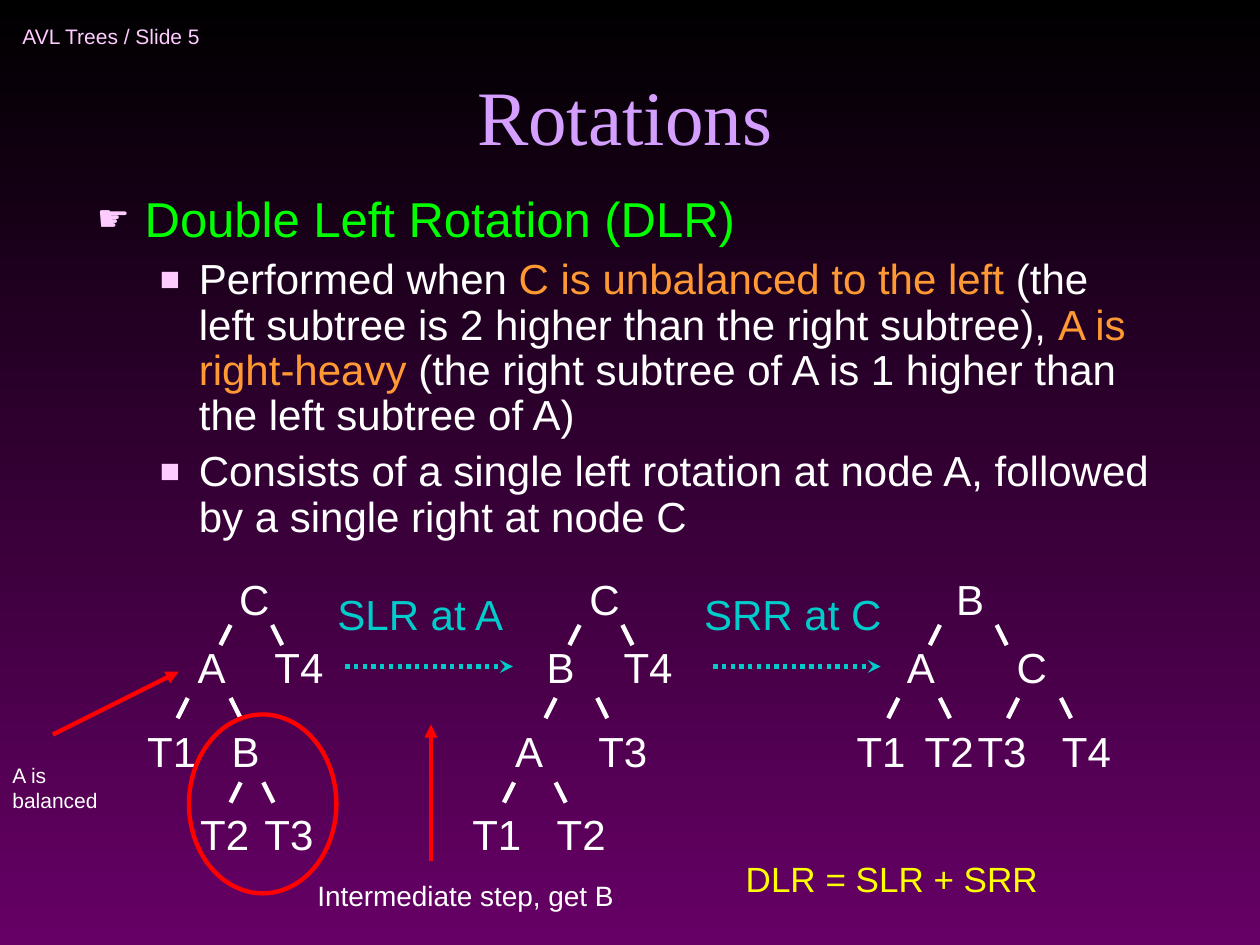
from dataclasses import dataclass

from lxml import etree
from pptx import Presentation
from pptx.dml.color import RGBColor
from pptx.enum.dml import MSO_LINE_DASH_STYLE as Dash
from pptx.enum.shapes import MSO_CONNECTOR as Connector, MSO_SHAPE as Shape
from pptx.enum.text import MSO_ANCHOR as Anchor, MSO_AUTO_SIZE as AutoSize, PP_ALIGN as Align
from pptx.oxml.ns import qn
from pptx.util import Inches, Pt


@dataclass(frozen=True)
class Theme:
    """Colours, fonts and sizes of the slide."""
    top: str = "000000"
    bottom: str = "660066"
    title: str = "D49FFF"
    accent: str = "FFCCFF"
    heading: str = "00FF00"
    text: str = "FFFFFF"
    emphasis: str = "FF9933"
    step: str = "00CCCC"
    mark: str = "FF0000"
    result: str = "FFFF00"
    title_font: str = "Times New Roman"
    font: str = "Arial"
    title_size: int = 44
    heading_size: int = 28
    body_size: int = 24
    result_size: int = 20
    caption_size: int = 16
    small_size: int = 12
    line_width: float = 2.5


THEME = Theme()

TITLE = "Rotations"
HEADING = [("Double Left Rotation (DLR)", THEME.heading)]
POINTS = [
    [("Performed when ", THEME.text),
     ("C is unbalanced to the left", THEME.emphasis),
     (" (the left subtree is 2 higher than the right subtree), ", THEME.text),
     ("A is right-heavy", THEME.emphasis),
     (" (the right subtree of A is 1 higher than the left subtree of A)", THEME.text)],
    [("Consists of a single left rotation at node A, followed by a single right at node C",
      THEME.text)],
]

# Each tree: rows of (label, left), then rows of branch starts, left and right in turn.
TREES = [
    ([[("C", 1.8)], [("A", 1.47), ("T4", 2.08)], [("T1", 1.07), ("B", 1.74)],
      [("T2", 1.49), ("T3", 2.0)]],
     [[1.83, 2.16], [1.49, 1.83], [1.91, 2.09]]),
    ([[("C", 4.58)], [("B", 4.24), ("T4", 4.85)], [("A", 3.99), ("T3", 4.65)],
      [("T1", 3.65), ("T2", 4.32)]],
     [[4.6, 4.94], [4.41, 4.74], [4.08, 4.41]]),
    ([[("B", 7.49)], [("A", 7.1), ("C", 7.97)],
      [("T1", 6.7), ("T2", 7.24), ("T3", 7.66), ("T4", 8.33)]],
     [[7.46, 7.91], [7.13, 7.46, 8.08, 8.42]]),
]
NODE_TOPS = [4.5, 5.04, 5.71, 6.37]
BRANCH_TOPS = [4.96, 5.54, 6.21]
BRANCH_RUN, BRANCH_DROP = 0.08, 0.16
NODE_WIDTHS = {1: 0.43, 2: 0.59}

# Rotation steps: label, label left, label width, arrow start
STEPS = [("SLR at A", 2.58, 1.53, 2.74), ("SRR at C", 5.49, 1.61, 5.66)]
STEP_LABEL_TOP, STEP_ARROW_Y, STEP_ARROW_LENGTH = 4.62, 5.29, 1.33

# Notes: text, box, size, colour, space before, wrap
NOTES = [
    ("DLR = SLR + SRR", (5.82, 6.76, 2.52, 0.44), THEME.result_size, THEME.result, 5, False),
    ("A is balanced", (0, 6, 0.92, 0.5), THEME.small_size, THEME.text, 3, True),
    ("Intermediate step, get B", (2.42, 6.92, 2.55, 0.37), THEME.caption_size, THEME.text, 4,
     False),
]
POINTERS = [((0.42, 5.83), (1.42, 5.33)), ((3.42, 6.83), (3.42, 5.75))]
HIGHLIGHT = (1.5, 5.67, 1.17, 1.42)


def inches(values):
    """Turn plain numbers into lengths."""
    return [Inches(value) for value in values]


def style(run, size, color, font=THEME.font):
    """Set the font of one run."""
    run.font.size = Pt(size)
    run.font.name = font
    run.font.color.rgb = RGBColor.from_string(color)


def add_label(slide, text, box, size, color, before=6, wrap=False):
    """Add a one-paragraph text box."""
    frame = slide.shapes.add_textbox(*inches(box)).text_frame
    frame.word_wrap = wrap
    frame.auto_size = AutoSize.SHAPE_TO_FIT_TEXT
    frame.text = text
    paragraph = frame.paragraphs[0]
    paragraph.space_before = Pt(before)
    style(paragraph.runs[0], size, color)
    return frame


def add_line(slide, start, end, color, head=None, dash=None):
    """Draw a straight line, with an arrowhead at its end if one is named."""
    connector = slide.shapes.add_connector(Connector.STRAIGHT, *inches(start + end))
    connector.line.color.rgb = RGBColor.from_string(color)
    connector.line.width = Pt(THEME.line_width)
    if dash:
        connector.line.dash_style = dash
    if head:
        etree.SubElement(connector.line._get_or_add_ln(), qn("a:tailEnd"), type=head)
    etree.SubElement(connector._element.spPr, qn("a:effectLst"))


def add_bullet(paragraph, symbol, percent, margin, indent):
    """Give a paragraph a coloured bullet and a hanging indent."""
    props = paragraph._p.get_or_add_pPr()
    props.set("marL", str(Inches(margin)))
    props.set("indent", str(-Inches(indent)))
    color = etree.SubElement(props, qn("a:buClr"))
    etree.SubElement(color, qn("a:srgbClr"), val=THEME.accent)
    etree.SubElement(props, qn("a:buSzPct"), val=str(percent * 1000))
    etree.SubElement(props, qn("a:buFont"), typeface=THEME.font)
    etree.SubElement(props, qn("a:buChar"), char=symbol)


def add_body(slide):
    """Write the heading and its points."""
    frame = slide.shapes.add_textbox(*inches((0.67, 1.5, 8.58, 3))).text_frame
    frame.word_wrap = True
    rows = [(HEADING, THEME.heading_size, 7, ("\u261b", 75, 0.38, 0.38))]
    rows += [(point, THEME.body_size, 6, ("\u25a0", 80, 0.81, 0.31)) for point in POINTS]
    for index, (parts, size, before, bullet) in enumerate(rows):
        paragraph = frame.add_paragraph() if index else frame.paragraphs[0]
        paragraph.level = min(index, 1)
        paragraph.line_spacing = 0.9
        paragraph.space_before = Pt(before)
        add_bullet(paragraph, *bullet)
        for text, color in parts:
            run = paragraph.add_run()
            run.text = text
            style(run, size, color)


def add_tree(slide, node_rows, branch_rows):
    """Draw the branches and node labels of one tree."""
    for top, starts in zip(BRANCH_TOPS, branch_rows):
        for index, x in enumerate(starts):
            run = BRANCH_RUN if index % 2 else -BRANCH_RUN
            add_line(slide, (x, top), (x + run, top + BRANCH_DROP), THEME.text)
    for top, nodes in zip(NODE_TOPS, node_rows):
        for label, left in nodes:
            add_label(slide, label, (left, top, NODE_WIDTHS[len(label)], 0.5),
                      THEME.body_size, THEME.text)


def set_background(slide):
    """Fill the background from top to bottom."""
    fill = slide.background.fill
    fill.gradient()
    fill.gradient_angle = 270
    for stop, color in zip(fill.gradient_stops, (THEME.top, THEME.bottom)):
        stop.color.rgb = RGBColor.from_string(color)


def add_title(slide):
    """Place and format the title."""
    title = slide.shapes.title
    title.left, title.top, title.width, title.height = inches((0.67, 0.08, 8.58, 1.25))
    title.text_frame.text = TITLE
    title.text_frame.vertical_anchor = Anchor.BOTTOM
    paragraph = title.text_frame.paragraphs[0]
    paragraph.alignment = Align.CENTER
    style(paragraph.runs[0], THEME.title_size, THEME.title, THEME.title_font)


def main():
    """Build and save the slide."""
    deck = Presentation()
    deck.slide_width, deck.slide_height = Inches(10), Inches(7.5)
    slide = deck.slides.add_slide(deck.slide_layouts.get_by_name("Title Only"))
    set_background(slide)
    header = add_label(slide, "AVL Trees / Slide 5", (0.08, 0.08, 2.75, 0.42),
                       THEME.small_size, THEME.accent, before=0)
    header.auto_size = AutoSize.NONE
    header.vertical_anchor = Anchor.MIDDLE
    add_title(slide)
    add_body(slide)
    for node_rows, branch_rows in TREES:
        add_tree(slide, node_rows, branch_rows)
    for label, left, width, start in STEPS:
        add_line(slide, (start, STEP_ARROW_Y), (start + STEP_ARROW_LENGTH, STEP_ARROW_Y),
                 THEME.step, "stealth", Dash.ROUND_DOT)
        add_label(slide, label, (left, STEP_LABEL_TOP, width, 0.5), THEME.body_size, THEME.step)
    highlight = slide.shapes.add_shape(Shape.OVAL, *inches(HIGHLIGHT))
    highlight.shadow.inherit = False
    highlight.fill.background()
    highlight.line.color.rgb = RGBColor.from_string(THEME.mark)
    highlight.line.width = Pt(THEME.line_width)
    for start, end in POINTERS:
        add_line(slide, start, end, THEME.mark, "triangle")
    for note in NOTES:
        add_label(slide, *note)
    deck.save("out.pptx")


main()
